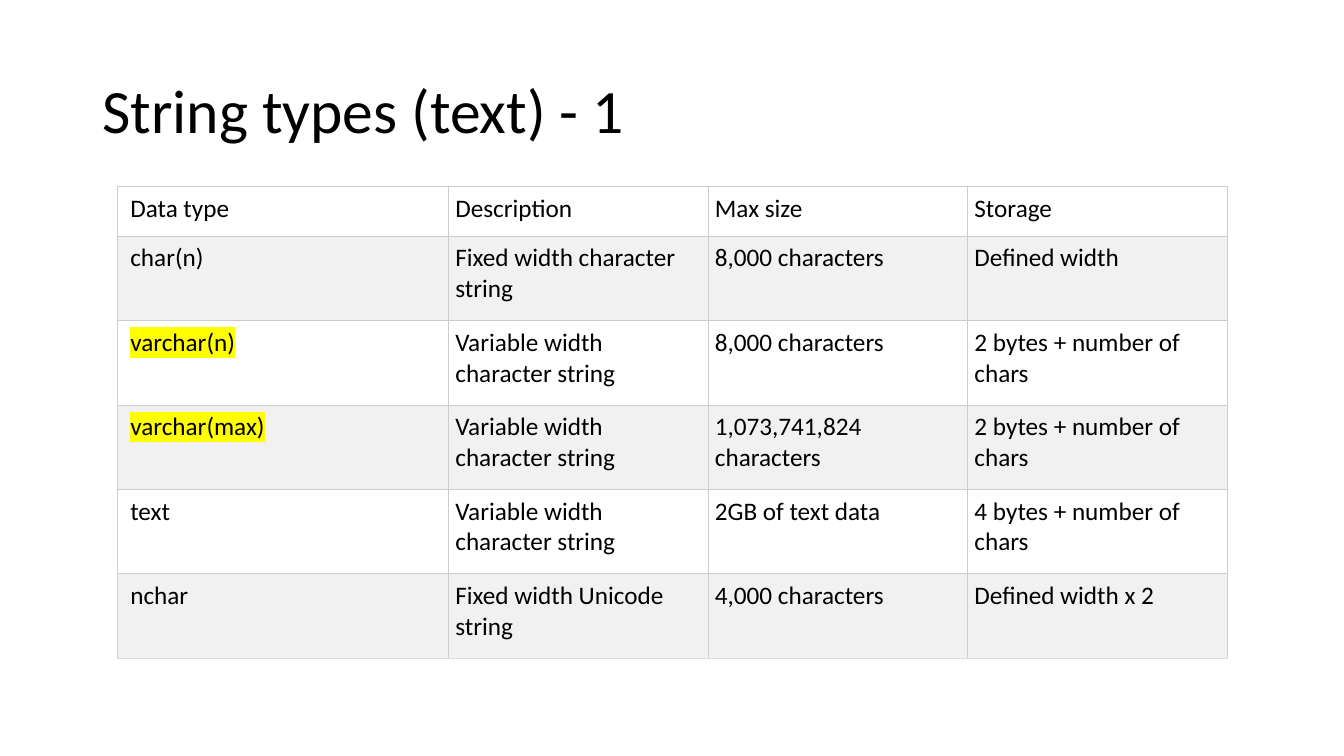
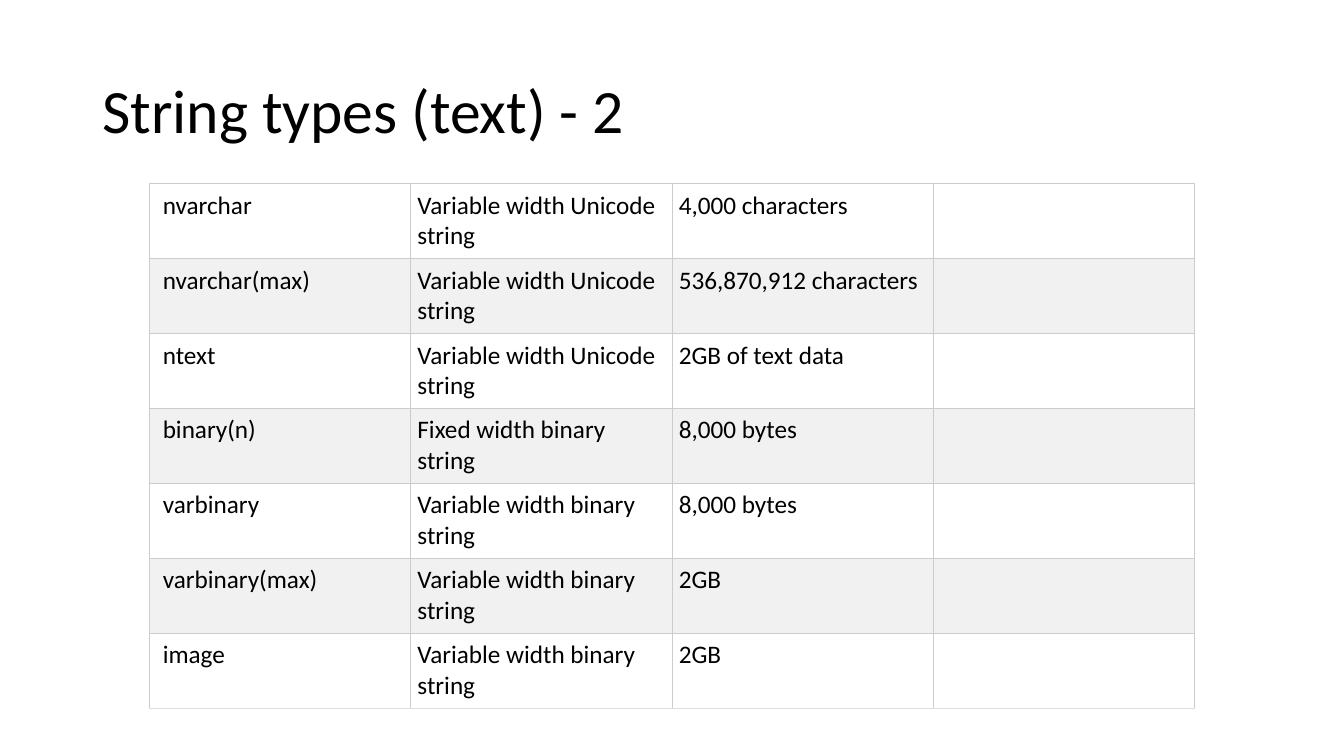
from lxml.etree import SubElement
from pptx import Presentation
from pptx.dml.color import RGBColor
from pptx.enum.text import MSO_ANCHOR as Anchor, MSO_AUTO_SIZE as AutoSize, PP_ALIGN as Align
from pptx.oxml.ns import qn
from pptx.util import Pt

COLORS = {
    "text": "000000",
    "row": "FFFFFF",
    "alternate_row": "F1F1F1",
    "border": "CCCCCC",
    "bottom_border": "DDDDDD",
    "highlight": "FFFF00",
}
HIGHLIGHTED = {"varchar(n)", "varchar(max)"}


class Deck:
    font_name = "Calibri"
    title_size = 44
    cell_size = 18
    cell_margin = 4.8
    first_margin = 9.6
    border_width = 0.6

    def __init__(self):
        self.presentation = Presentation()
        self.presentation.slide_width = Pt(960)
        self.presentation.slide_height = Pt(540)
        self.slide = None

    def style(self, paragraph, size):
        paragraph.alignment = Align.LEFT
        paragraph.font.name = self.font_name
        paragraph.font.size = Pt(size)
        paragraph.font.color.rgb = RGBColor.from_string(COLORS["text"])

    def add_slide(self, heading):
        self.slide = self.presentation.slides.add_slide(self.presentation.slide_layouts[5])
        title = self.slide.shapes.title
        title.left, title.top, title.width, title.height = Pt(66), Pt(28.75), Pt(828), Pt(104.4)
        frame = title.text_frame
        frame.text = heading
        frame.word_wrap = True
        frame.auto_size = AutoSize.NONE
        frame.vertical_anchor = Anchor.MIDDLE
        frame.paragraphs[0].line_spacing = 0.9
        self.style(frame.paragraphs[0], self.title_size)

    def add_table(self, left, top, widths, heights, records):
        table = self.slide.shapes.add_table(
            len(heights), len(widths), Pt(left), Pt(top), Pt(sum(widths)), Pt(sum(heights))
        ).table
        table.first_row = False
        table.horz_banding = False
        for column, width in zip(table.columns, widths):
            column.width = Pt(width)
        for index, (row, height, record) in enumerate(zip(table.rows, heights, records)):
            row.height = Pt(height)
            fill = COLORS["alternate_row" if index % 2 else "row"]
            is_last = index == len(heights) - 1
            for position, (cell, text) in enumerate(zip(row.cells, record)):
                self.fill_cell(cell, text, fill, position == 0, is_last)

    def fill_cell(self, cell, text, fill, is_first, is_last):
        cell.margin_left = Pt(self.first_margin if is_first else self.cell_margin)
        cell.margin_right = cell.margin_top = cell.margin_bottom = Pt(self.cell_margin)
        cell.vertical_anchor = Anchor.TOP
        self.add_borders(cell, is_last)
        cell.fill.solid()
        cell.fill.fore_color.rgb = RGBColor.from_string(fill)
        paragraph = cell.text_frame.paragraphs[0]
        self.style(paragraph, self.cell_size)
        if text:
            run = paragraph.add_run()
            run.text = text
            if text in HIGHLIGHTED:
                self.highlight(run)

    def add_borders(self, cell, is_last):
        properties = cell._tc.get_or_add_tcPr()
        for side in ("lnL", "lnR", "lnT", "lnB"):
            color = COLORS["bottom_border" if is_last and side == "lnB" else "border"]
            line = SubElement(properties, qn(f"a:{side}"), w=str(Pt(self.border_width)))
            solid = SubElement(line, qn("a:solidFill"))
            SubElement(solid, qn("a:srgbClr"), val=color)

    def highlight(self, run):
        marker = SubElement(run._r.get_or_add_rPr(), qn("a:highlight"))
        SubElement(marker, qn("a:srgbClr"), val=COLORS["highlight"])


def main():
    deck = Deck()

    deck.add_slide("String types (text) - 1")
    deck.add_table(83.5, 133.2, [237] + [185.4] * 3, [35.5] + [60.3] * 5, [
        ("Data type", "Description", "Max size", "Storage"),
        ("char(n)", "Fixed width character string", "8,000 characters", "Defined width"),
        ("varchar(n)", "Variable width character string", "8,000 characters",
         "2 bytes + number of chars"),
        ("varchar(max)", "Variable width character string", "1,073,741,824 characters",
         "2 bytes + number of chars"),
        ("text", "Variable width character string", "2GB of text data",
         "4 bytes + number of chars"),
        ("nchar", "Fixed width Unicode string", "4,000 characters", "Defined width x 2"),
    ])

    deck.add_slide("String types (text) - 2")
    deck.add_table(106.7, 131, [186.7] * 4, [53.4] * 7, [
        ("nvarchar", "Variable width Unicode string", "4,000 characters", ""),
        ("nvarchar(max)", "Variable width Unicode string", "536,870,912 characters", ""),
        ("ntext", "Variable width Unicode string", "2GB of text data", ""),
        ("binary(n)", "Fixed width binary string", "8,000 bytes", ""),
        ("varbinary", "Variable width binary string", "8,000 bytes", ""),
        ("varbinary(max)", "Variable width binary string", "2GB", ""),
        ("image", "Variable width binary string", "2GB", ""),
    ])

    deck.presentation.save("out.pptx")


if __name__ == "__main__":
    main()
